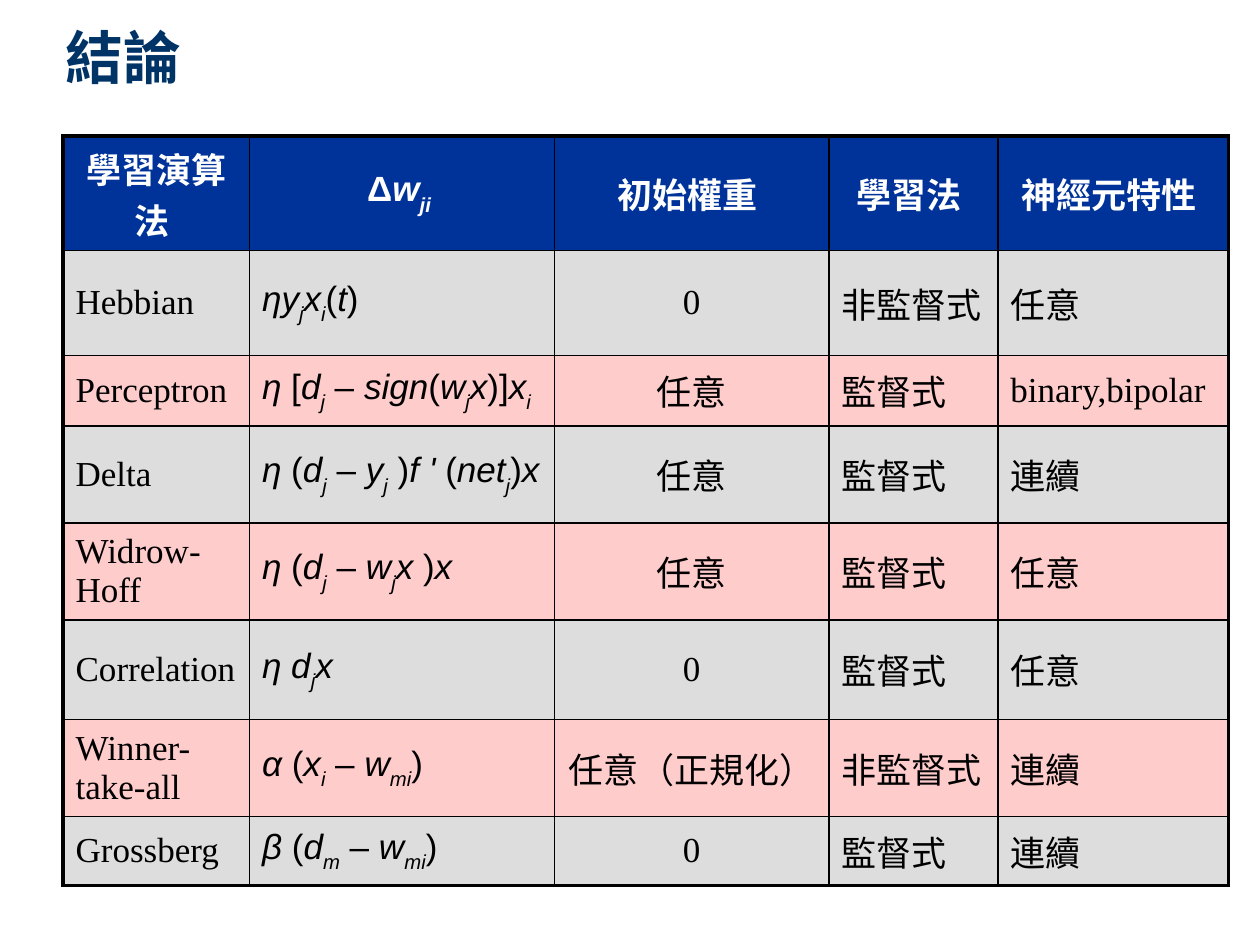
import pptx
import pptx.dml.color
import pptx.enum.text
import pptx.oxml.ns
import pptx.util
from lxml import etree

In, Pt = pptx.util.Inches, pptx.util.Pt
ALIGN, ANCHOR = pptx.enum.text.PP_ALIGN, pptx.enum.text.MSO_ANCHOR
qn = pptx.oxml.ns.qn

COLORS = {"title": "003366", "head": "003399", "head_text": "FFFFFF",
          "odd": "DDDDDD", "even": "FFCCCC", "text": "000000", "line": "000000"}
SERIF, SANS, CJK = "Times New Roman", "Arial", "Noto Sans CJK SC"

TITLE = "結論"
# In formulas ~ switches italic on and off, and {…} is a subscript.
ROWS = [
    ("學習演算法 ", "Δ~w{ji }", "初始權重 ", "學習法 ", "神經元特性 "),
    ("Hebbian", "~ηy{j}x{i}~(~t~)", "0", "非監督式", "任意"),
    ("Perceptron", "~η~ [~d{j}~ – ~sign~(~w{j}x~)]~x{i}", "任意", "監督式", "binary,bipolar"),
    ("Delta", "~η~ (~d{j}~ – ~y{j}~ )~f ' ~(~net{j}~)~x", "任意", "監督式", "連續"),
    ("Widrow-Hoff", "~η~ (~d{j}~ –~ w{j}x~ )~x", "任意", "監督式", "任意"),
    ("Correlation", "~η d{j}x", "0", "監督式", "任意"),
    ("Winner-take-all", "~α~ (~x{i}~ – ~w{mi}~)", "任意（正規化）", "非監督式", "連續"),
    ("Grossberg", "~β~ (~d{m}~ – ~w{mi}~)", "0", "監督式", "連續"),
]
COL_WIDTHS = [1.48, 2.42, 2.18, 1.34, 1.83]
ROW_HEIGHTS = [0.91, 0.83, 0.56, 0.77, 0.77, 0.79, 0.77, 0.55]
FORMULA_COL, CENTRED_COL = 1, 2
THIN, THICK = 1, 2.25


def rgb(name):
    return pptx.dml.color.RGBColor.from_string(COLORS[name])


def split_marks(text):
    """Yield (text, italic, subscript) for each run of marked text."""
    italic = sub = False
    part = ""
    for ch in text:
        if ch not in "~{}":
            part += ch
            continue
        if part:
            yield part, italic, sub
        part = ""
        if ch == "~":
            italic = not italic
        else:
            sub = ch == "{"
    if part:
        yield part, italic, sub


def write(tf, text, size=20, font=SERIF, color="text", bold=False,
          align=ALIGN.LEFT, before=None):
    tf.word_wrap = True
    tf.vertical_anchor = ANCHOR.MIDDLE
    p = tf.paragraphs[0]
    p.alignment = align
    if before:
        gap = etree.SubElement(p._p.get_or_add_pPr(), qn("a:spcBef"))
        etree.SubElement(gap, qn("a:spcPct"), val=str(before * 1000))
    for part, italic, sub in split_marks(text):
        r = p.add_run()
        r.text = part
        f = r.font
        f.size, f.name, f.bold, f.italic = Pt(size), font, bold, italic
        f.color.rgb = rgb(color)
        rPr = r._r.get_or_add_rPr()
        etree.SubElement(rPr, qn("a:ea"), typeface=CJK)
        if sub:
            rPr.set("baseline", "-30000")


def set_borders(cell, widths):
    """Widths are in points, in the order left, right, top, bottom."""
    tcPr = cell._tc.get_or_add_tcPr()
    for i, (side, width) in enumerate(zip("LRTB", widths)):
        ln = etree.Element(qn(f"a:ln{side}"), w=str(Pt(width)))
        fill = etree.SubElement(ln, qn("a:solidFill"))
        etree.SubElement(fill, qn("a:srgbClr"), val=COLORS["line"])
        tcPr.insert(i, ln)


def add_rules_table(s):
    n_rows, n_cols = len(ROWS), len(COL_WIDTHS)
    table = s.shapes.add_table(n_rows, n_cols, In(0.5), In(1.08),
                               In(sum(COL_WIDTHS)), In(sum(ROW_HEIGHTS))).table
    for col, width in zip(table.columns, COL_WIDTHS):
        col.width = In(width)
    for row, height in zip(table.rows, ROW_HEIGHTS):
        row.height = In(height)
    for i, row in enumerate(ROWS):
        head = i == 0
        for j, text in enumerate(row):
            cell = table.cell(i, j)
            cell.vertical_anchor = ANCHOR.MIDDLE
            cell.fill.solid()
            cell.fill.fore_color.rgb = rgb("head" if head else "odd" if i % 2 else "even")
            font = SANS if j == FORMULA_COL else CJK if head else SERIF
            write(cell.text_frame, text, font=font, bold=head, before=20,
                  color="head_text" if head else "text",
                  align=ALIGN.CENTER if head or j == CENTRED_COL else ALIGN.LEFT)
            outer = (j == 0, j == n_cols - 1, head, i == n_rows - 1)
            set_borders(cell, [THICK if edge else THIN for edge in outer])


def main():
    prs = pptx.Presentation()
    prs.slide_width, prs.slide_height = In(10), In(7.5)
    s = prs.slides.add_slide(prs.slide_layouts[6])
    title = s.shapes.add_textbox(In(0.42), In(0.16), In(9.17), In(0.58))
    write(title.text_frame, TITLE, size=33, color="title", bold=True)
    add_rules_table(s)
    prs.save("out.pptx")


if __name__ == "__main__":
    main()
